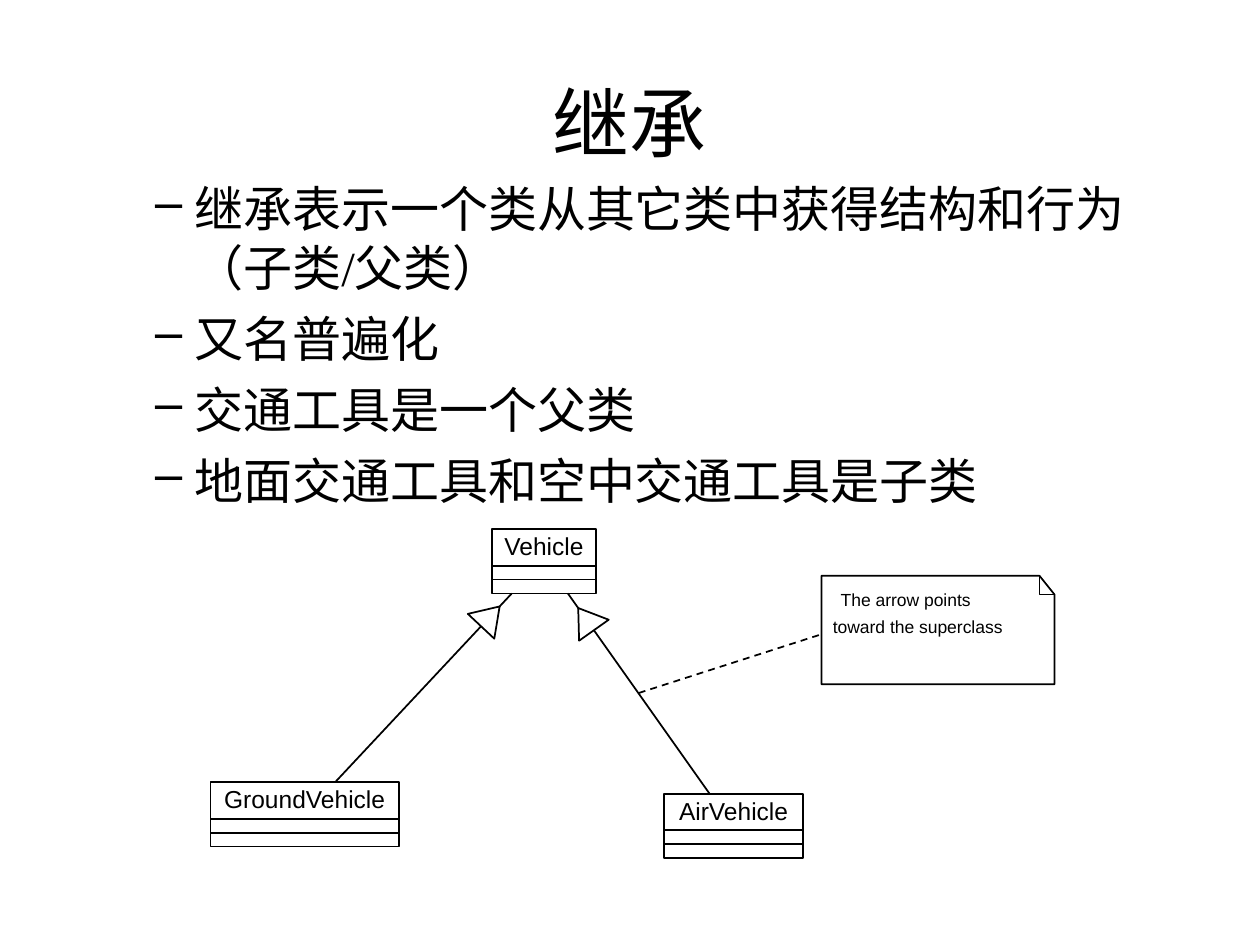
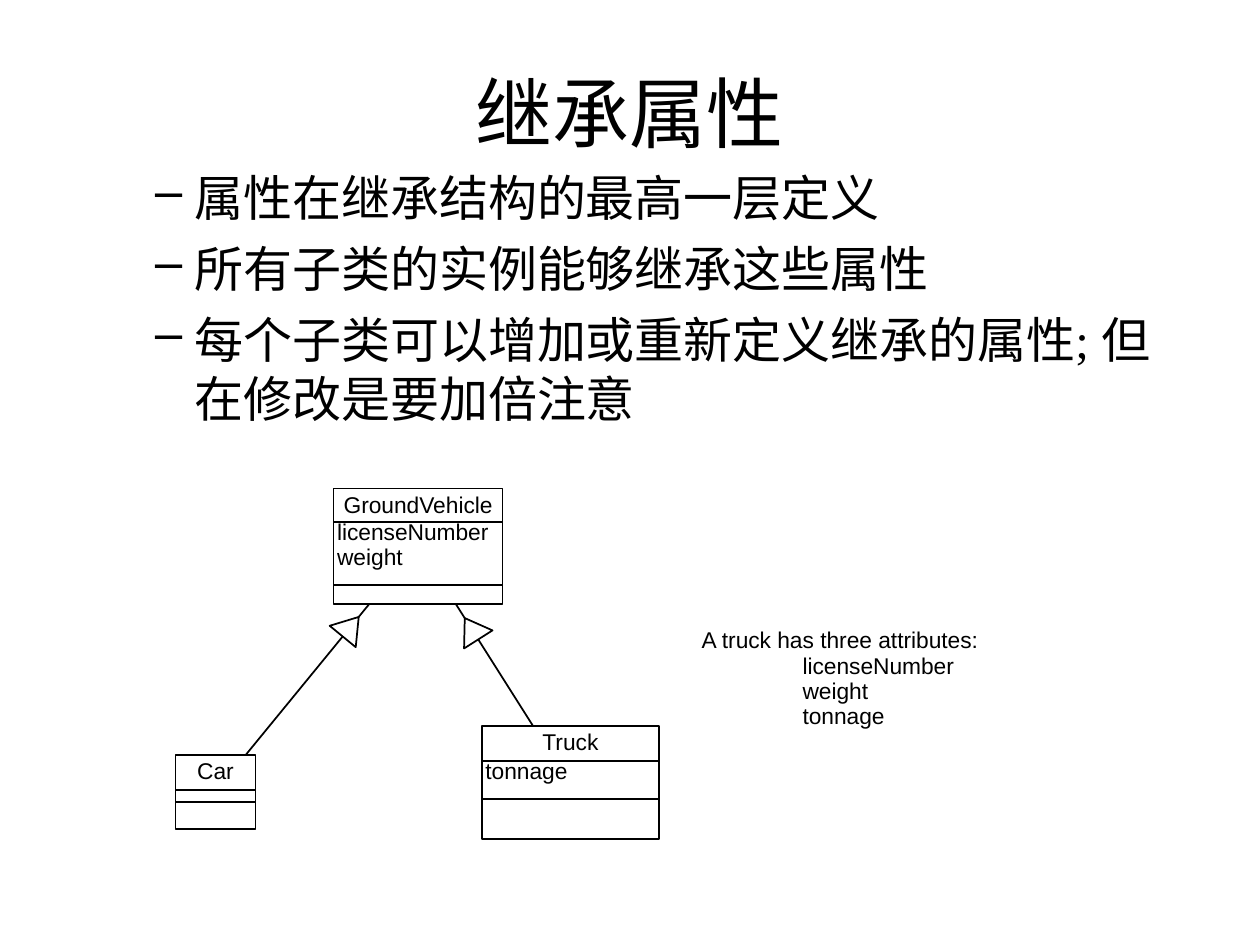
import math
from dataclasses import dataclass

import pptx
import pptx.dml.color
import pptx.enum.dml
import pptx.enum.shapes
import pptx.enum.text
import pptx.util
from lxml import etree

Pt = pptx.util.Pt
ALIGN = pptx.enum.text.PP_ALIGN
ANCHOR = pptx.enum.text.MSO_ANCHOR


@dataclass(frozen=True)
class Theme:
    ink = pptx.dml.color.RGBColor(0, 0, 0)
    paper = pptx.dml.color.RGBColor(255, 255, 255)
    heading_font = "Times New Roman"
    diagram_font = "Arial"
    title_size = 44
    bullet_size = 28
    line_width = 1


THEME = Theme()

SLIDES = [
    {
        "title": "继承",
        "title_box": (54, 36, 612, 59.8),
        "bullets": [
            "继承表示一个类从其它类中获得结构和行为（子类/父类）",
            "又名普遍化",
            "交通工具是一个父类",
            "地面交通工具和空中交通工具是子类",
        ],
        "body_box": (66.2, 102.2, 591.1, 189.4),
        "class_size": 14,
        "classes": {
            "Vehicle": {"box": (281.3, 302.4, 59.2, 36.7), "dividers": (20.9, 28.8)},
            "GroundVehicle": {"box": (120.4, 447, 107.5, 36.7), "dividers": (20.9, 28.8)},
            "AirVehicle": {"box": (379.5, 453.6, 79.4, 36.7), "dividers": (20.9, 28.8)},
        },
        "inheritance": [
            ("GroundVehicle", 191.5, "Vehicle", 292.5),
            ("AirVehicle", 405.5, "Vehicle", 324.5),
        ],
        "note": {
            "box": (469.4, 329, 133.2, 62),
            "fold": (8.6, 10.8),
            "leader": ((365, 396), (468, 362.9)),
        },
        "remark": {
            "box": (475.9, 332.7, 120, 32),
            "lines": [("The arrow points", 4.5), ("toward the superclass", 0)],
            "size": 10,
            "pitch": 15.8,
        },
    },
    {
        "title": "继承属性",
        "title_box": (54, 41.8, 612, 48.2),
        "bullets": [
            "属性在继承结构的最高一层定义",
            "所有子类的实例能够继承这些属性",
            "每个子类可以增加或重新定义继承的属性; 但在修改是要加倍注意",
        ],
        "body_box": (66.2, 95.8, 597.6, 148.3),
        "class_size": 13,
        "classes": {
            "GroundVehicle": {
                "box": (190.6, 279.2, 96.6, 66),
                "dividers": (18.9, 55),
                "attributes": ["licenseNumber", "weight"],
            },
            "Car": {"box": (100.3, 431.3, 45.7, 42.4), "dividers": (20.2, 27.2)},
            "Truck": {
                "box": (275.4, 414.7, 101.2, 64.8),
                "dividers": (20, 41.8),
                "attributes": ["tonnage"],
            },
        },
        "inheritance": [
            ("Car", 140.5, "GroundVehicle", 211),
            ("Truck", 304.5, "GroundVehicle", 260.5),
        ],
        "remark": {
            "box": (401, 359, 170, 60),
            "lines": [
                ("A truck has three attributes:", 0),
                ("licenseNumber", 57.6),
                ("weight", 57.6),
                ("tonnage", 57.6),
            ],
            "size": 13,
            "pitch": 14.4,
        },
    },
]


def points(values):
    return [Pt(value) for value in values]


def style_font(paragraph, name, size):
    paragraph.font.name = name
    paragraph.font.size = Pt(size)
    paragraph.font.color.rgb = THEME.ink


def add_text(slide, box, lines, font, size, wrap=False, align=ALIGN.LEFT,
             anchor=ANCHOR.TOP, pitch=None, space=0, bullet=None):
    frame = slide.shapes.add_textbox(*points(box)).text_frame
    frame.margin_left = frame.margin_top = frame.margin_right = frame.margin_bottom = 0
    frame.word_wrap = wrap
    frame.vertical_anchor = anchor
    for index, (text, indent) in enumerate(lines):
        paragraph = frame.add_paragraph() if index else frame.paragraphs[0]
        paragraph.text = text
        paragraph.alignment = align
        properties = paragraph._p.get_or_add_pPr()
        if indent:
            properties.set("marL", str(Pt(indent)))
        if bullet:
            properties.set("indent", str(Pt(-22.5)))
            mark = etree.SubElement(properties, pptx.oxml.ns.qn("a:buChar"))
            mark.set("char", bullet)
        if pitch:
            paragraph.line_spacing = Pt(pitch)
        if index and space:
            paragraph.space_before = Pt(space)
        style_font(paragraph, font, size)


def style_line(shape):
    shape.line.color.rgb = THEME.ink
    shape.line.width = Pt(THEME.line_width)


def add_line(slide, start, end, dashed=False):
    connector = slide.shapes.add_connector(
        pptx.enum.shapes.MSO_CONNECTOR.STRAIGHT, *points(start + end))
    etree.SubElement(connector._element.spPr, pptx.oxml.ns.qn("a:effectLst"))
    style_line(connector)
    if dashed:
        connector.line.dash_style = pptx.enum.dml.MSO_LINE.DASH


def add_outline(slide, corners, filled=False, close=True):
    first, *rest = [points(corner) for corner in corners]
    builder = slide.shapes.build_freeform(*first, scale=1.0)
    builder.add_line_segments(rest, close=close)
    shape = builder.convert_to_shape()
    shape.shadow.inherit = False
    if filled:
        shape.fill.solid()
        shape.fill.fore_color.rgb = THEME.paper
    else:
        shape.fill.background()
    style_line(shape)


def add_class(slide, name, box, dividers, size, attributes=()):
    left, top, width, height = box
    rectangle = slide.shapes.add_shape(
        pptx.enum.shapes.MSO_SHAPE.RECTANGLE, *points(box))
    rectangle.shadow.inherit = False
    rectangle.fill.background()
    style_line(rectangle)
    add_text(slide, (left, top + 1, width, size * 1.2), [(name, 0)],
             THEME.diagram_font, size, align=ALIGN.CENTER)
    for offset in dividers:
        add_line(slide, (left, top + offset), (left + width, top + offset))
    if attributes:
        add_text(slide, (left + 2, top + dividers[0] - 1, width - 2, dividers[1] - dividers[0]),
                 [(attribute, 0) for attribute in attributes],
                 THEME.diagram_font, size, pitch=14.4)


def add_inheritance(slide, tail, tip, size):
    add_line(slide, tail, tip)
    distance = math.dist(tail, tip)
    along = [(start - end) / distance for start, end in zip(tail, tip)]
    gap, length, half_base = 0.73 * size, 1.11 * size, 0.74 * size

    def corner(back, side):
        return (tip[0] + along[0] * back - along[1] * side,
                tip[1] + along[1] * back + along[0] * side)

    base = gap + length
    add_outline(slide, [corner(gap, 0), corner(base, half_base), corner(base, -half_base)],
                filled=True)


def add_note(slide, box, fold, leader):
    left, top, width, height = box
    right, bottom = left + width, top + height
    fold_top = (right - fold[0], top)
    fold_side = (right, top + fold[1])
    add_line(slide, *leader, dashed=True)
    add_outline(slide, [(left, top), fold_top, fold_side, (right, bottom), (left, bottom)])
    add_outline(slide, [fold_top, (fold_top[0], fold_side[1]), fold_side], close=False)


def build_slide(presentation, content):
    slide = presentation.slides.add_slide(presentation.slide_layouts[6])
    add_text(slide, content["title_box"], [(content["title"], 0)], THEME.heading_font,
             THEME.title_size, wrap=True, align=ALIGN.CENTER, anchor=ANCHOR.BOTTOM)
    add_text(slide, content["body_box"], [(text, 45) for text in content["bullets"]],
             THEME.heading_font, THEME.bullet_size, wrap=True, space=7, bullet="–")
    size, classes = content["class_size"], content["classes"]
    for name, parts in classes.items():
        add_class(slide, name, size=size, **parts)
    for child, tail_x, parent, tip_x in content["inheritance"]:
        _, parent_top, _, parent_height = classes[parent]["box"]
        tail = (tail_x, classes[child]["box"][1])
        add_inheritance(slide, tail, (tip_x, parent_top + parent_height), size)
    if "note" in content:
        add_note(slide, **content["note"])
    add_text(slide, font=THEME.diagram_font, **content["remark"])


def main():
    presentation = pptx.Presentation()
    presentation.slide_width, presentation.slide_height = Pt(720), Pt(540)
    for content in SLIDES:
        build_slide(presentation, content)
    presentation.save("out.pptx")


if __name__ == "__main__":
    main()
